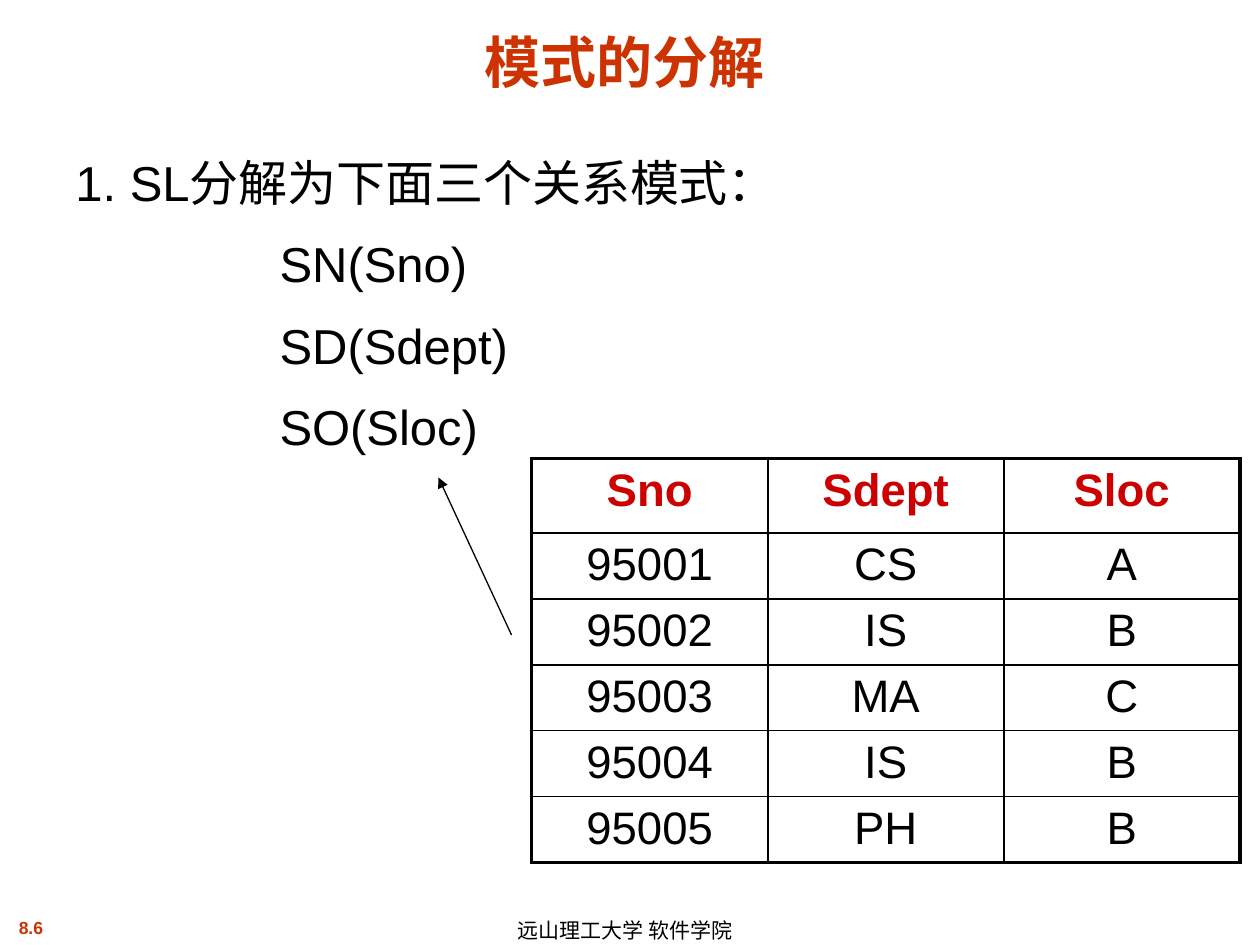
"""Build the slide on decomposing a relation schema."""
import pptx
import pptx.dml.color
import pptx.enum.shapes
import pptx.enum.text
import pptx.oxml
import pptx.oxml.ns
import pptx.util
from pptx.util import Inches

BLACK = pptx.dml.color.RGBColor(0, 0, 0)
ORANGE = pptx.dml.color.RGBColor(0xCC, 0x33, 0x00)
RED = pptx.dml.color.RGBColor(0xCC, 0x00, 0x00)
ALIGN = pptx.enum.text.PP_ALIGN
ANCHOR = pptx.enum.text.MSO_ANCHOR
NS = pptx.oxml.ns.nsdecls("a")


def style(paragraph, size, color, bold=False, align=ALIGN.LEFT):
    paragraph.alignment = align
    for run in paragraph.runs:
        run.font.name = "Arial"
        run.font.size = pptx.util.Pt(size)
        run.font.bold = bold
        run.font.color.rgb = color


def add_text(left, top, width, height, text, anchor=ANCHOR.TOP, wrap=True):
    box = slide.shapes.add_textbox(Inches(left), Inches(top), Inches(width), Inches(height))
    frame = box.text_frame
    frame.text = text
    frame.word_wrap = wrap
    frame.vertical_anchor = anchor
    return frame


prs = pptx.Presentation()
prs.slide_width, prs.slide_height = Inches(10), Inches(7.5)
slide = prs.slides.add_slide(prs.slide_layouts[6])

page_number = add_text(0, 7.23, 0.49, 0.27, "8.6", wrap=False)
style(page_number.paragraphs[0], 10, ORANGE, True, ALIGN.CENTER)

school = add_text(4.01, 7.25, 2.24, 0.25, "远山理工大学 软件学院", ANCHOR.MIDDLE, False)
school.paragraphs[0].line_spacing = 1.1
style(school.paragraphs[0], 12, BLACK)

title = add_text(0.25, 0.13, 9.42, 0.67, "模式的分解", ANCHOR.BOTTOM)
style(title.paragraphs[0], 32, ORANGE, True, ALIGN.CENTER)

rows = [
    ("Sno", "Sdept", "Sloc"),
    ("95001", "CS", "A"),
    ("95002", "IS", "B"),
    ("95003", "MA", "C"),
    ("95004", "IS", "B"),
    ("95005", "PH", "B"),
]
last_row, last_col = len(rows) - 1, len(rows[0]) - 1
students = slide.shapes.add_table(
    len(rows), len(rows[0]), Inches(4.22), Inches(3.64), Inches(5.62), Inches(3.04)
).table
students.first_row = False
students.horz_banding = False
for column in students.columns:
    column.width = Inches(5.62 / 3)
for r, values in enumerate(rows):
    header = r == 0
    students.rows[r].height = Inches(0.59 if header else 0.49)
    for c, value in enumerate(values):
        cell = students.cell(r, c)
        cell.text = value
        cell.margin_left = cell.margin_right = Inches(0.21)
        cell.margin_top, cell.margin_bottom = Inches(0.05), Inches(0.04)
        style(cell.text_frame.paragraphs[0], 26, RED if header else BLACK, header, ALIGN.CENTER)
        outer_edges = {"L": c == 0, "R": c == last_col, "T": header, "B": r == last_row}
        cell.fill.background()
        properties = cell._tc.get_or_add_tcPr()
        for position, (side, outer) in enumerate(outer_edges.items()):
            width = pptx.util.Pt(2.25 if outer else 1)
            properties.insert(position, pptx.oxml.parse_xml(
                f'<a:ln{side} {NS} w="{width}"><a:solidFill><a:srgbClr val="{BLACK}"/>'
                f'</a:solidFill></a:ln{side}>'))

schemas = add_text(
    0, 1.07, 6.89, 2.52, "1. SL分解为下面三个关系模式：\nSN(Sno)\nSD(Sdept)\nSO(Sloc)")
for number, paragraph in enumerate(schemas.paragraphs):
    paragraph.line_spacing = 1.2
    paragraph.space_before = pptx.util.Pt(6)
    style(paragraph, 28, BLACK, align=ALIGN.JUSTIFY)
    margin, indent = (0.81, -0.31) if number == 0 else (2.12, 0)
    indents = paragraph._p.get_or_add_pPr()
    indents.set("marL", str(Inches(margin)))
    indents.set("indent", str(Inches(indent)))

arrow = slide.shapes.add_connector(
    pptx.enum.shapes.MSO_CONNECTOR.STRAIGHT,
    Inches(4.06), Inches(5.04), Inches(3.48), Inches(3.79))
arrow.line.color.rgb = BLACK
arrow.line.width = pptx.util.Pt(0.75)
arrow.line._get_or_add_ln().append(
    pptx.oxml.parse_xml(f'<a:tailEnd {NS} type="triangle"/>'))
arrow._element.spPr.append(pptx.oxml.parse_xml(f"<a:effectLst {NS}/>"))

prs.save("out.pptx")
